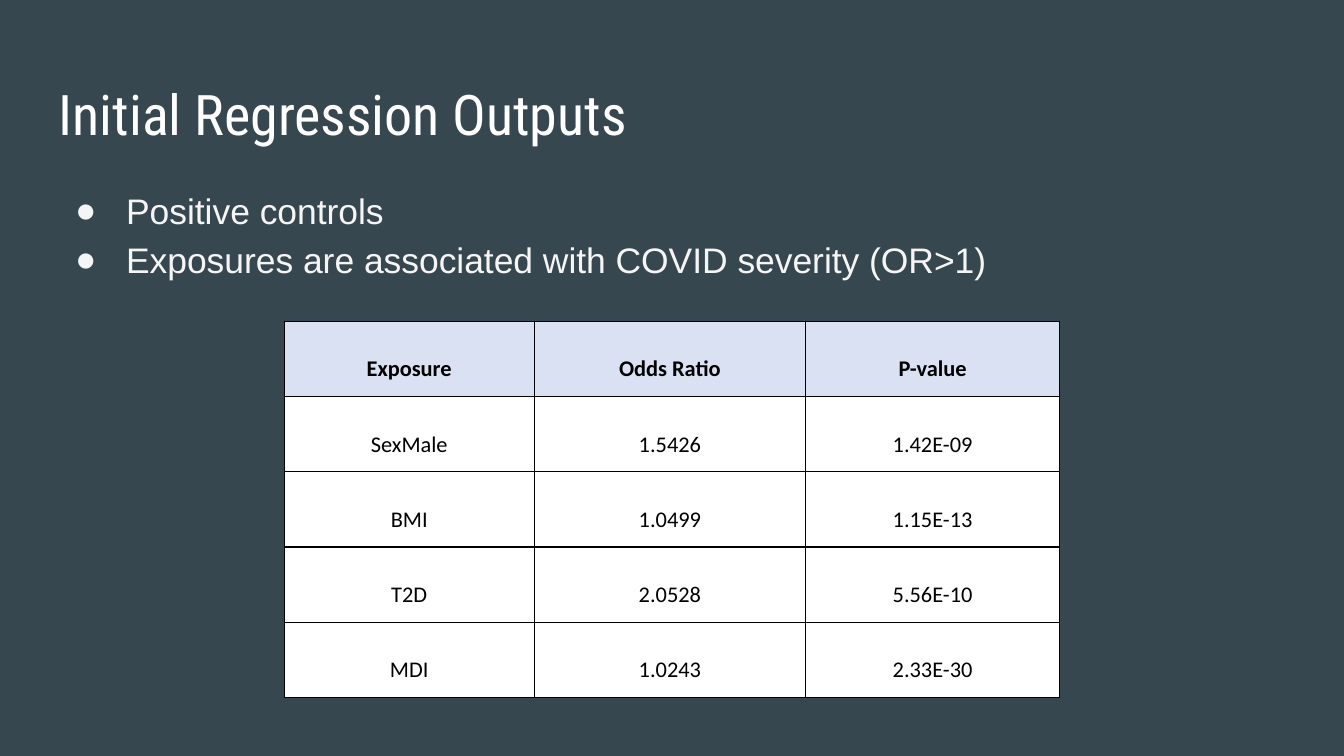
from pptx import Presentation, util as u
from pptx.dml.color import RGBColor
from pptx.enum import text
from pptx.oxml import parse_xml
from pptx.oxml.ns import nsdecls

C = {"bg": "37474F", "title": "FFFFFF", "body": "F5F5F5",
     "head": "D9E1F2", "cell": "FFFFFF", "ink": "000000"}
W = 10
H = W * 9 / 16
LEFT = 0.34
COLS = [1.86, 2.02, 1.89]
ROW = 0.56
ROWS = [
    ["Exposure", "Odds Ratio", "P-value"],
    ["SexMale", "1.5426", "1.42E-09"],
    ["BMI", "1.0499", "1.15E-13"],
    ["T2D", "2.0528", "5.56E-10"],
    ["MDI", "1.0243", "2.33E-30"],
]


def write(tf, lines, size, font, color, bold=False, align=None, spacing=None, bullet=None):
    for i, line in enumerate(lines):
        p = tf.add_paragraph() if i else tf.paragraphs[0]
        p.alignment = align
        p.line_spacing = spacing
        r = p.add_run()
        r.text = line
        r.font.size, r.font.name, r.font.bold = u.Pt(size), font, bold
        r.font.color.rgb = RGBColor.from_string(C[color])
        if bullet:
            pr = p._p.get_or_add_pPr()
            pr.set("marL", str(u.Inches(0.5)))
            pr.set("indent", str(u.Inches(-0.38)))
            for xml in (f'<a:buClr {nsdecls("a")}><a:srgbClr val="{C[color]}"/></a:buClr>',
                        f'<a:buFont {nsdecls("a")} typeface="{font}"/>',
                        f'<a:buChar {nsdecls("a")} char="{bullet}"/>'):
                pr.append(parse_xml(xml))


prs = Presentation()
prs.slide_width, prs.slide_height = u.Inches(W), u.Inches(H)
s = prs.slides.add_slide(prs.slide_layouts[6])
s.background.fill.solid()
s.background.fill.fore_color.rgb = RGBColor.from_string(C["bg"])

blocks = [
    (0.49, 9.32, 0.63, ["Initial Regression Outputs"],
     dict(size=30, font="Roboto Condensed", color="title")),
    (1.26, 9.21, 4.1, ["Positive controls", "Exposures are associated with COVID severity (OR>1)"],
     dict(size=19, font="Arial", color="body", spacing=1.15, bullet="●")),
]
for top, width, height, lines, fmt in blocks:
    sp = s.shapes.add_textbox(u.Inches(LEFT), u.Inches(top), u.Inches(width), u.Inches(height))
    tf = sp.text_frame
    tf.word_wrap = True
    tf.margin_left = tf.margin_right = tf.margin_top = tf.margin_bottom = u.Inches(0.1)
    write(tf, lines, **fmt)

tbl = s.shapes.add_table(len(ROWS), len(COLS), u.Inches((W - sum(COLS)) / 2), u.Inches(2.39),
                         u.Inches(sum(COLS)), u.Inches(ROW * len(ROWS))).table
for col, width in zip(tbl.columns, COLS):
    col.width = u.Inches(width)
for i, values in enumerate(ROWS):
    tbl.rows[i].height = u.Inches(ROW)
    for j, value in enumerate(values):
        cell = tbl.cell(i, j)
        cell.vertical_anchor = text.MSO_ANCHOR.BOTTOM
        cell.margin_left = cell.margin_right = cell.margin_top = u.Inches(0.01)
        cell.margin_bottom = u.Inches(0.1)
        write(cell.text_frame, [value], size=12, font="Calibri", color="ink",
              bold=i == 0, align=text.PP_ALIGN.CENTER, spacing=1.15)
        pr = cell._tc.get_or_add_tcPr()
        for side in "LRTB":
            pr.append(parse_xml(
                f'<a:ln{side} {nsdecls("a")} w="{u.Pt(0.75)}"><a:solidFill>'
                f'<a:srgbClr val="{C["ink"]}"/></a:solidFill></a:ln{side}>'))
        cell.fill.solid()
        cell.fill.fore_color.rgb = RGBColor.from_string(C["cell" if i else "head"])

prs.save("out.pptx")
